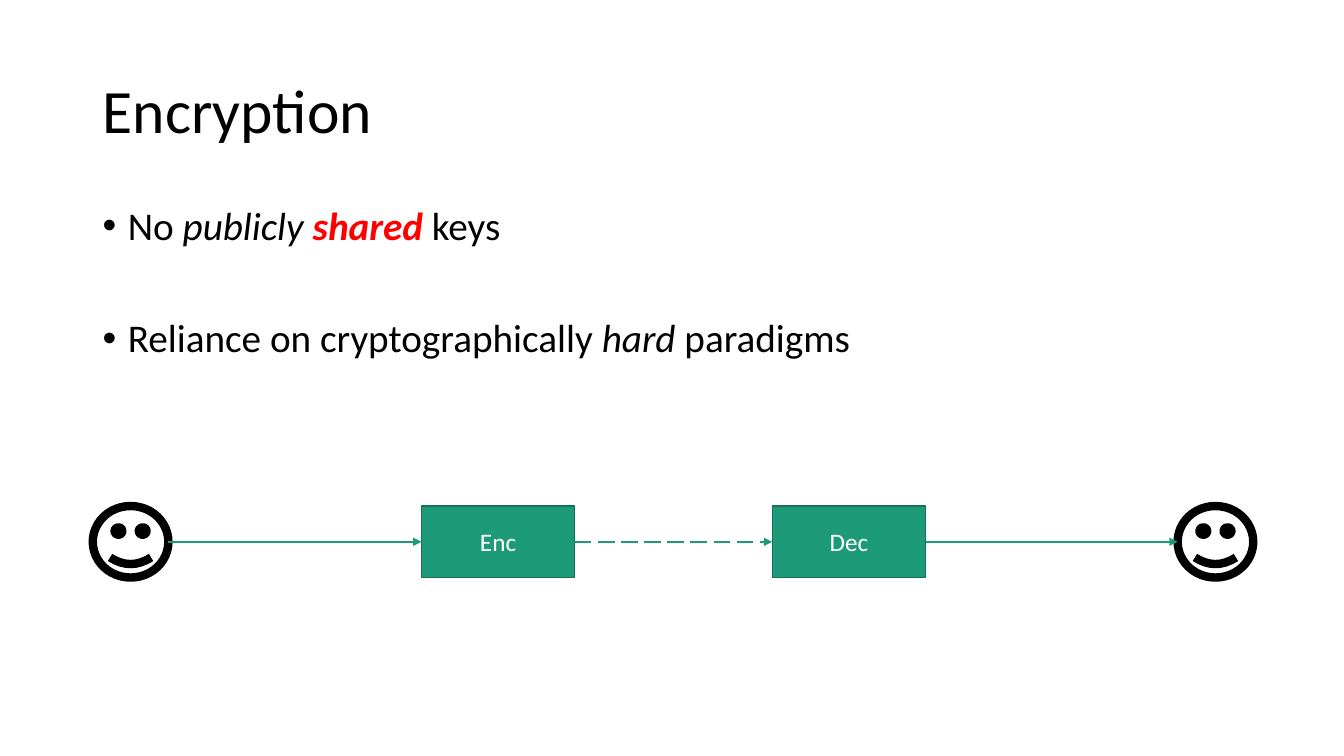
"""Build the Encryption slide: two bullets above a sender-to-receiver flow."""
from dataclasses import dataclass
from itertools import pairwise

from lxml.etree import SubElement
from pptx import Presentation
from pptx.dml.color import RGBColor
from pptx.enum.dml import MSO_LINE
from pptx.enum.shapes import MSO_CONNECTOR, MSO_SHAPE
from pptx.enum.text import MSO_ANCHOR, PP_ALIGN
from pptx.oxml.ns import qn
from pptx.slide import Slide
from pptx.text.text import TextFrame, _Paragraph
from pptx.util import Inches, Pt


@dataclass(frozen=True)
class Theme:
    """Colours, font and sizes of the slide."""
    font: str = "Calibri"
    ink: RGBColor = RGBColor(0, 0, 0)
    paper: RGBColor = RGBColor(255, 255, 255)
    alert: RGBColor = RGBColor(255, 0, 0)
    green: RGBColor = RGBColor(0x1D, 0x9A, 0x78)
    dark_green: RGBColor = RGBColor(0x15, 0x72, 0x59)
    title_size: int = 44
    body_size: int = 28
    label_size: int = 18
    face_line: float = 6
    box_line: float = 1
    arrow_line: float = 1.5
    line_spacing: float = 0.9


@dataclass(frozen=True)
class Phrase:
    """A stretch of text in one style."""
    text: str
    color: RGBColor
    size: int
    italic: bool = False
    bold: bool = False


@dataclass(frozen=True)
class Bullet:
    """A bullet with the space above it in points."""
    phrases: tuple[Phrase, ...]
    space_before: float


@dataclass(frozen=True)
class Station:
    """A stop on the message's way."""
    left: float
    width: float
    outline: MSO_SHAPE
    fill: RGBColor
    line: RGBColor
    line_width: float
    label: str = ""

    @property
    def right(self) -> float:
        """Return the right edge in inches."""
        return self.left + self.width


THEME = Theme()
MARGIN, CONTENT_WIDTH = 0.92, 11.5
FLOW_TOP, FLOW_HEIGHT = 5.02, 0.71


def body(text: str, color: RGBColor = THEME.ink, italic: bool = False,
         bold: bool = False) -> Phrase:
    """Return a phrase in the body size."""
    return Phrase(text, color, THEME.body_size, italic, bold)


def face(left: float) -> Station:
    """Return a person at one end of the flow."""
    return Station(left, 0.75, MSO_SHAPE.SMILEY_FACE, THEME.paper, THEME.ink, THEME.face_line)


def cipher(left: float, label: str) -> Station:
    """Return a labelled encryption or decryption box."""
    return Station(left, 1.52, MSO_SHAPE.RECTANGLE, THEME.green, THEME.dark_green,
                   THEME.box_line, label)


BULLETS = (
    Bullet((body("No "), body("publicly ", italic=True),
            body("shared", THEME.alert, italic=True, bold=True), body(" keys")), 10),
    Bullet((body("Reliance on cryptographically "), body("hard", italic=True),
            body(" paradigms")), 50),
)
STATIONS = (face(MARGIN), cipher(4.18, "Enc"), cipher(7.66, "Dec"), face(11.68))


def add_phrase(paragraph: _Paragraph, phrase: Phrase) -> None:
    """Append one styled run."""
    run = paragraph.add_run()
    run.text = phrase.text
    run.font.name = THEME.font
    run.font.size = Pt(phrase.size)
    run.font.color.rgb = phrase.color
    run.font.italic = phrase.italic
    run.font.bold = phrase.bold


def add_text_area(slide: Slide, top: float, height: float, anchor: MSO_ANCHOR) -> TextFrame:
    """Add a wrapping text area across the content width."""
    frame = slide.shapes.add_textbox(
        Inches(MARGIN), Inches(top), Inches(CONTENT_WIDTH), Inches(height)).text_frame
    frame.word_wrap = True
    frame.vertical_anchor = anchor
    return frame


def add_title(slide: Slide, title: str) -> None:
    """Add the slide title."""
    paragraph = add_text_area(slide, 0.4, 1.45, MSO_ANCHOR.MIDDLE).paragraphs[0]
    paragraph.line_spacing = THEME.line_spacing
    add_phrase(paragraph, Phrase(title, THEME.ink, THEME.title_size))


def add_bullets(slide: Slide, bullets: tuple[Bullet, ...]) -> None:
    """Add the bulleted list."""
    frame = add_text_area(slide, 2, 4.76, MSO_ANCHOR.TOP)
    for index, bullet in enumerate(bullets):
        paragraph = frame.add_paragraph() if index else frame.paragraphs[0]
        paragraph.line_spacing = THEME.line_spacing
        paragraph.space_before = Pt(bullet.space_before)
        properties = paragraph._p.get_or_add_pPr()
        properties.set("marL", str(Inches(0.25)))
        properties.set("indent", str(Inches(-0.25)))
        SubElement(properties, qn("a:buFont"), typeface="Arial")
        SubElement(properties, qn("a:buChar"), char="•")
        for phrase in bullet.phrases:
            add_phrase(paragraph, phrase)


def add_station(slide: Slide, station: Station) -> None:
    """Draw one stop of the flow."""
    stop = slide.shapes.add_shape(
        station.outline, Inches(station.left), Inches(FLOW_TOP),
        Inches(station.width), Inches(FLOW_HEIGHT))
    stop.shadow.inherit = False
    stop.fill.solid()
    stop.fill.fore_color.rgb = station.fill
    stop.line.color.rgb = station.line
    stop.line.width = Pt(station.line_width)
    if station.label:
        stop.text_frame.vertical_anchor = MSO_ANCHOR.MIDDLE
        paragraph = stop.text_frame.paragraphs[0]
        paragraph.alignment = PP_ALIGN.CENTER
        add_phrase(paragraph, Phrase(station.label, THEME.paper, THEME.label_size))


def add_arrow(slide: Slide, source: Station, target: Station) -> None:
    """Link two stops, dashed where the message is encrypted."""
    middle = Inches(FLOW_TOP + FLOW_HEIGHT / 2)
    arrow = slide.shapes.add_connector(
        MSO_CONNECTOR.STRAIGHT, Inches(source.right), middle, Inches(target.left), middle)
    arrow.line.color.rgb = THEME.green
    arrow.line.width = Pt(THEME.arrow_line)
    if source.label and target.label:
        arrow.line.dash_style = MSO_LINE.LONG_DASH
    SubElement(arrow.line._get_or_add_ln(), qn("a:tailEnd"), type="triangle")
    SubElement(arrow._element.spPr, qn("a:effectLst"))


def main() -> None:
    """Build and save the presentation."""
    presentation = Presentation()
    presentation.slide_width = Inches(13.33)
    presentation.slide_height = Inches(7.5)
    slide = presentation.slides.add_slide(presentation.slide_layouts[6])
    add_title(slide, "Encryption")
    add_bullets(slide, BULLETS)
    for station in STATIONS:
        add_station(slide, station)
    for source, target in pairwise(STATIONS):
        add_arrow(slide, source, target)
    presentation.save("out.pptx")


if __name__ == "__main__":
    main()
